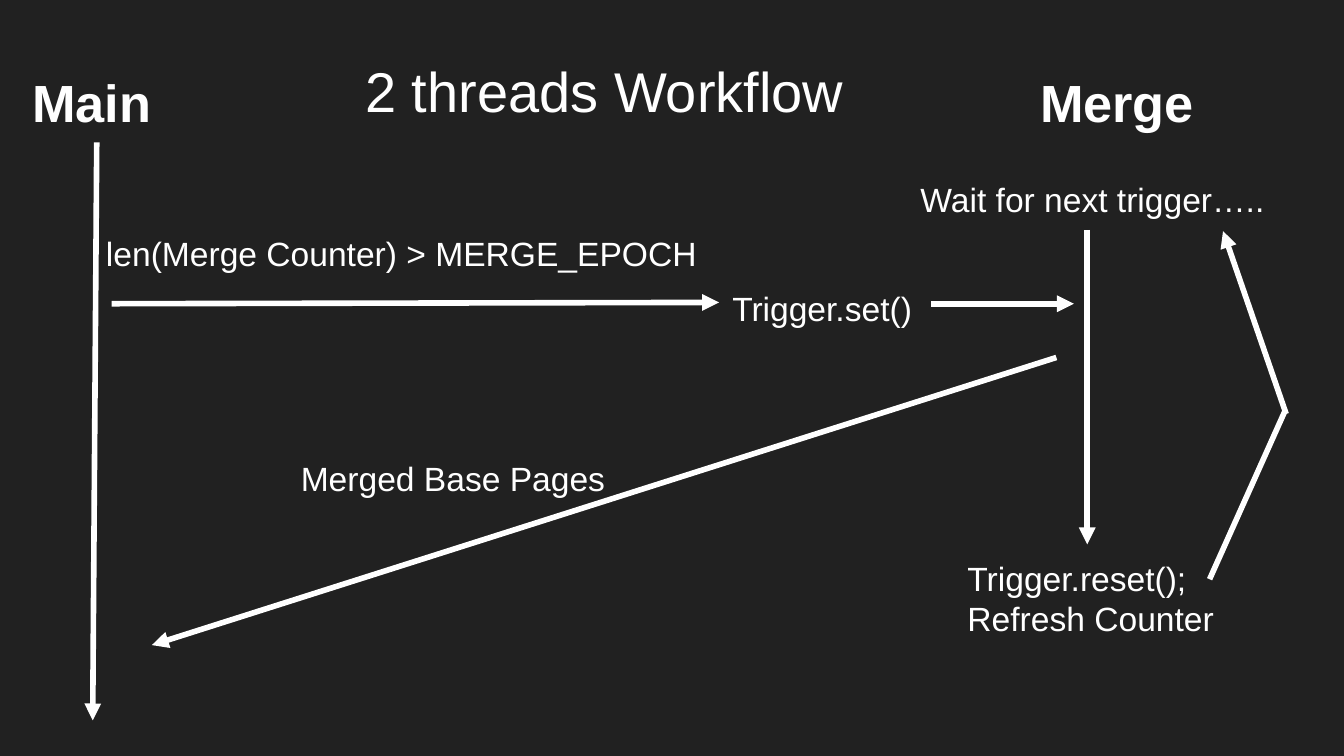
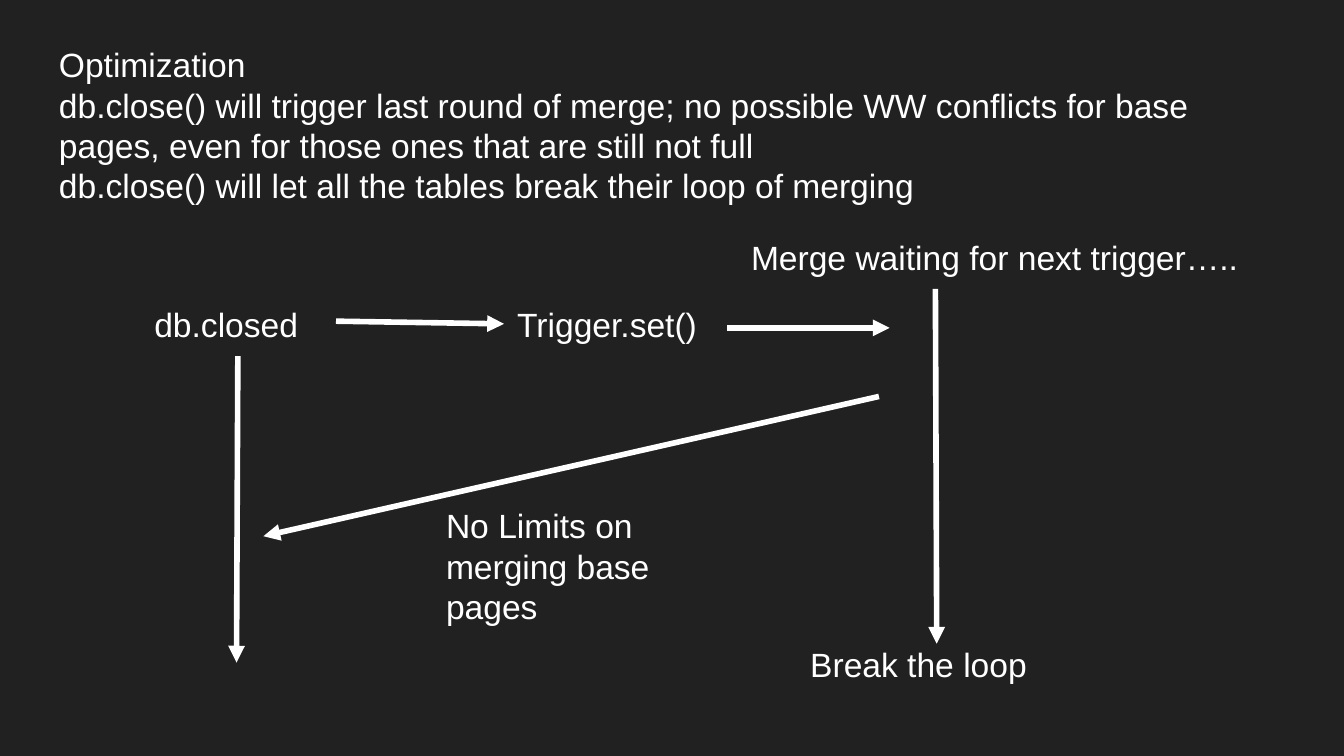
from lxml.etree import SubElement
from pptx import Presentation
from pptx.dml.color import RGBColor
from pptx.enum.shapes import MSO_CONNECTOR
from pptx.enum.text import MSO_ANCHOR, PP_ALIGN
from pptx.oxml.ns import qn
from pptx.util import Inches, Pt

BACKGROUND = RGBColor(0x21, 0x21, 0x21)
WHITE = RGBColor(0xFF, 0xFF, 0xFF)
FONT = "Arial"
LINE_WIDTH = Pt(3)
INSET = Inches(0.1)


def add_dark_slide(deck):
    """Add a blank slide with the shared dark background."""
    slide = deck.slides.add_slide(deck.slide_layouts[6])
    slide.background.fill.solid()
    slide.background.fill.fore_color.rgb = BACKGROUND
    return slide


def add_text(slide, box, *lines, size=18, bold=False):
    """Write one paragraph per line in a box of (left, top, width, height)."""
    frame = slide.shapes.add_textbox(*map(Inches, box)).text_frame
    frame.word_wrap = True
    frame.vertical_anchor = MSO_ANCHOR.TOP
    frame.margin_left = frame.margin_right = INSET
    frame.margin_top = frame.margin_bottom = INSET
    for index, line in enumerate(lines):
        paragraph = frame.add_paragraph() if index else frame.paragraphs[0]
        paragraph.alignment = PP_ALIGN.LEFT
        paragraph.line_spacing = 1.0
        run = paragraph.add_run()
        run.text = line
        run.font.name = FONT
        run.font.size = Pt(size)
        run.font.bold = bold
        run.font.color.rgb = WHITE


def add_line(slide, start, end, arrow=True):
    """Draw a white line from start to end, with an arrowhead at the end."""
    connector = slide.shapes.add_connector(
        MSO_CONNECTOR.STRAIGHT, *map(Inches, (*start, *end)))
    connector.line.color.rgb = WHITE
    connector.line.width = LINE_WIDTH
    properties = connector.line._get_or_add_ln()
    if arrow:
        SubElement(properties, qn("a:tailEnd"), type="triangle")
    SubElement(connector._element.spPr, qn("a:effectLst"))


def build_workflow(deck):
    """Show how the main and merge threads signal each other."""
    slide = add_dark_slide(deck)
    add_line(slide, (0.72, 1.06), (0.69, 5.36))
    add_line(slide, (8.09, 1.71), (8.09, 4.05))
    add_line(slide, (0.83, 2.26), (5.35, 2.25))
    add_line(slide, (6.93, 2.26), (7.99, 2.26))
    add_line(slide, (7.86, 2.66), (1.13, 4.8))
    add_line(slide, (9, 4.31), (9.56, 3.06), arrow=False)
    add_line(slide, (9.57, 3.08), (9.1, 1.72))

    add_text(slide, (2.62, 0.32, 4, 0.68), "2 threads Workflow", size=30)
    add_text(slide, (0.14, 0.42, 1.28, 0.63), "Main", size=28, bold=True)
    add_text(slide, (7.64, 0.42, 1.36, 0.63), "Merge", size=28, bold=True)
    add_text(slide, (6.75, 1.23, 2.89, 0.63), "Wait for next trigger….. ")
    add_text(slide, (0.69, 1.63, 4.9, 0.63), "len(Merge Counter) > MERGE_EPOCH")
    add_text(slide, (5.35, 2.04, 1.58, 0.63), "Trigger.set()")
    add_text(slide, (2.14, 3.31, 2.5, 0.73), "Merged Base Pages")
    add_text(slide, (7.1, 4.05, 2.18, 0.88), "Trigger.reset();", "Refresh Counter")


def build_optimization(deck):
    """Show how closing the database ends the merge loop."""
    slide = add_dark_slide(deck)
    add_line(slide, (6.96, 2.15), (6.97, 4.79))
    add_line(slide, (2.5, 2.39), (3.75, 2.41))
    add_line(slide, (5.41, 2.44), (6.62, 2.44))
    add_line(slide, (6.54, 2.95), (1.96, 3.99))
    add_line(slide, (1.77, 2.65), (1.76, 4.93))

    add_text(slide, (0.34, 0.23, 9.32, 1.44),
             "Optimization",
             "db.close() will trigger last round of merge; no possible WW conflicts "
             "for base pages, even for those ones that are still not full",
             "db.close() will let all the tables break their loop of merging")
    add_text(slide, (5.49, 1.66, 4.1, 0.63), "Merge waiting for next trigger….. ")
    add_text(slide, (1.05, 2.16, 1.44, 0.49), "db.closed")
    add_text(slide, (3.75, 2.16, 1.58, 0.63), "Trigger.set()")
    add_text(slide, (3.22, 3.66, 2.28, 0.92), "No Limits on merging base pages")
    add_text(slide, (5.93, 4.69, 1.92, 0.63), "Break the loop")


def main():
    """Build and save both slides."""
    deck = Presentation()
    deck.slide_width = Inches(10)
    deck.slide_height = Inches(5.625)
    build_workflow(deck)
    build_optimization(deck)
    deck.save("out.pptx")


main()
